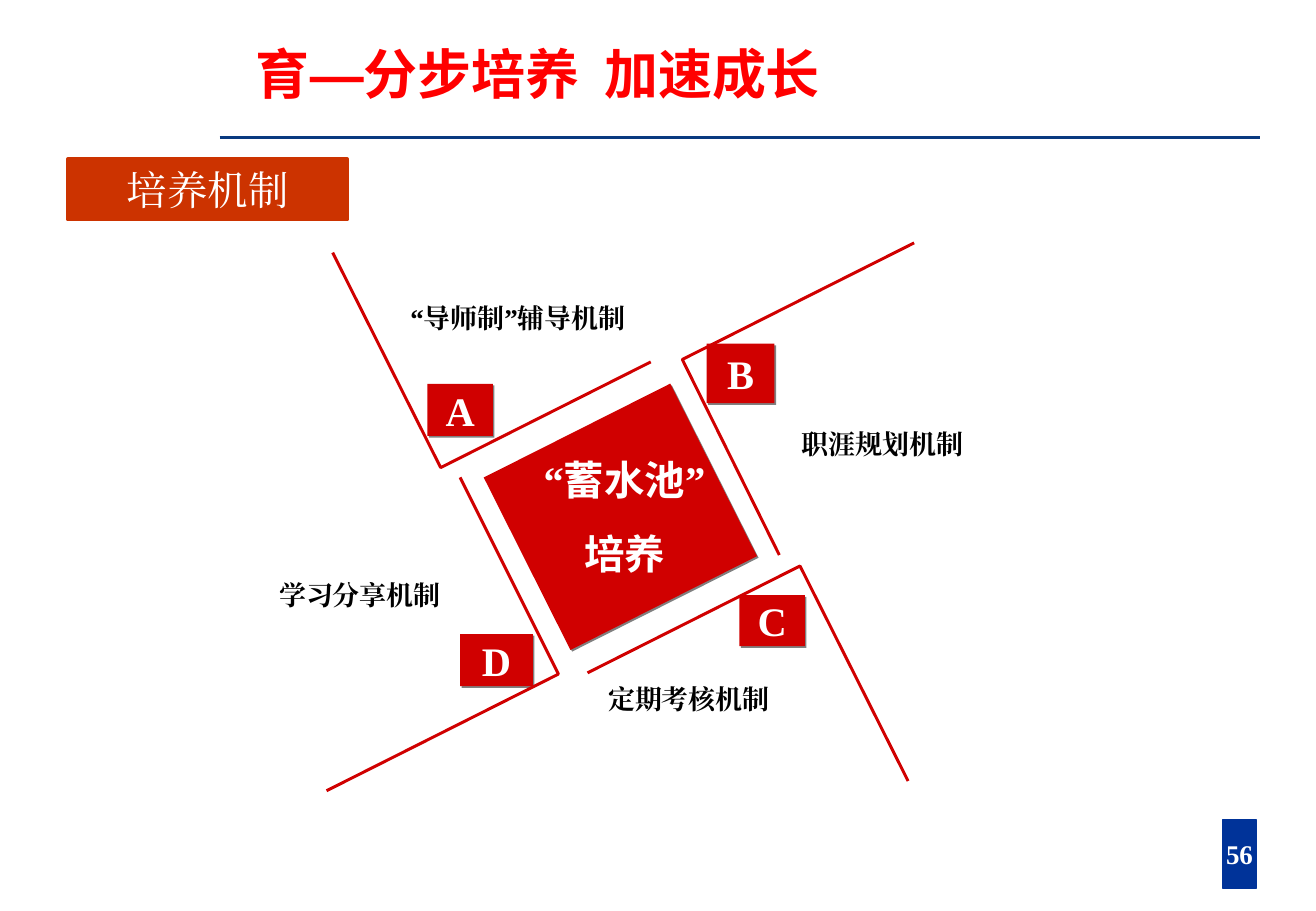
import dataclasses
import lxml.etree
import pptx
import pptx.dml.color
import pptx.enum.shapes
import pptx.enum.text
import pptx.oxml
import pptx.oxml.ns
import pptx.util

Inches = pptx.util.Inches
Pt = pptx.util.Pt
ALIGN = pptx.enum.text.PP_ALIGN
ANCHOR = pptx.enum.text.MSO_ANCHOR


@dataclasses.dataclass(frozen=True)
class Theme:
    """Colours, typefaces and type sizes of the slide."""
    red: str = "D00000"
    title_red: str = "FF0000"
    orange: str = "CC3300"
    rule_blue: str = "093A80"
    page_blue: str = "003399"
    black: str = "000000"
    white: str = "FFFFFF"
    shadow: str = "808080"
    serif: str = "Times New Roman"
    sans: str = "Arial"
    chinese: str = "Noto Sans CJK SC"
    title_size: int = 32
    heading_size: int = 24
    label_size: int = 16


THEME = Theme()


def rgb(value):
    """Turn a hex string into a colour."""
    return pptx.dml.color.RGBColor.from_string(value)


def add_runs(paragraph, runs):
    """Add (text, typeface) runs, using the typeface for Chinese too."""
    for text, typeface in runs:
        run = paragraph.add_run()
        run.text = text
        run.font.name = typeface
        east_asian = lxml.etree.SubElement(run.font._element, pptx.oxml.ns.qn("a:ea"))
        east_asian.set("typeface", typeface)


def write(shape, lines, size, color, bold=True, align=ALIGN.CENTER,
          anchor=ANCHOR.MIDDLE, margins=(0, 0), wrap=True):
    """Write lines of runs into a shape and return its paragraphs."""
    frame = shape.text_frame
    frame.word_wrap = wrap
    frame.vertical_anchor = anchor
    frame.margin_left = frame.margin_right = Inches(margins[0])
    frame.margin_top = frame.margin_bottom = Inches(margins[1])
    for number, runs in enumerate(lines):
        paragraph = frame.add_paragraph() if number else frame.paragraphs[0]
        paragraph.alignment = align
        if number:
            paragraph.space_before = Pt(15)
        add_runs(paragraph, runs)
        for font in [run.font for run in paragraph.runs]:
            font.size, font.bold = Pt(size), bold
            font.color.rgb = rgb(color)
    return frame.paragraphs


def add_text_box(slide, box, lines, size, color, **options):
    """Add a text box and return its paragraphs."""
    shape = slide.shapes.add_textbox(*map(Inches, box))
    return write(shape, lines, size, color, **options)


def add_block(slide, box, fill, line_width=0, rotation=0):
    """Add a flat filled rectangle."""
    shape = slide.shapes.add_shape(pptx.enum.shapes.MSO_SHAPE.RECTANGLE, *map(Inches, box))
    shape.shadow.inherit = False
    shape.rotation = rotation
    shape.fill.solid()
    shape.fill.fore_color.rgb = rgb(fill)
    if line_width:
        shape.line.color.rgb = rgb(fill)
        shape.line.width = Pt(line_width)
    else:
        shape.line.fill.background()
    return shape


def add_shadow(shape):
    """Give a shape a hard shadow to the lower right."""
    effects = shape._element.spPr.find(pptx.oxml.ns.qn("a:effectLst"))
    effects.append(pptx.oxml.parse_xml(
        f'<a:outerShdw {pptx.oxml.ns.nsdecls("a")} dist="{Pt(1.4)}" dir="2700000" '
        f'algn="ctr" rotWithShape="0"><a:srgbClr val="{THEME.shadow}"/></a:outerShdw>'))


def add_bracket(slide, points):
    """Add an open two-armed line through three points."""
    start, *rest = [tuple(map(Inches, point)) for point in points]
    builder = slide.shapes.build_freeform(*start)
    builder.add_line_segments(rest, close=False)
    shape = builder.convert_to_shape()
    shape.shadow.inherit = False
    shape.fill.background()
    shape.line.color.rgb = rgb(THEME.red)
    shape.line.width = Pt(1.75)


def add_frame(slide):
    """Add the title, the rule below it, the page number and the banner."""
    rule = slide.shapes.add_connector(
        pptx.enum.shapes.MSO_CONNECTOR.STRAIGHT,
        Inches(1.81), Inches(1.13), Inches(10.38), Inches(1.13))
    rule.line.color.rgb = rgb(THEME.rule_blue)
    rule.line.width = Pt(2)
    lxml.etree.SubElement(rule._element.spPr, pptx.oxml.ns.qn("a:effectLst"))

    page = add_block(slide, (10.07, 6.75, 0.28, 0.56), THEME.page_blue, 1)
    write(page, [[("56", THEME.serif)]], THEME.label_size, THEME.white, wrap=False)

    title = [("育", THEME.chinese), ("—", THEME.sans), ("分步培养", THEME.chinese),
             (" ", THEME.chinese), ("加速成长", THEME.chinese)]
    paragraph = add_text_box(slide, (2.01, 0.28, 7.63, 0.74), [title], THEME.title_size,
                             THEME.title_red, align=ALIGN.LEFT, margins=(0.1, 0.05))[0]
    paragraph.line_spacing = 0.8
    paragraph.runs[3].font._element.set("spc", "700")

    banner = add_block(slide, (0.56, 1.31, 2.3, 0.5), THEME.orange, 2)
    write(banner, [[("培养机制", THEME.serif)]], THEME.heading_size, THEME.white,
          bold=False, margins=(0.1, 0.05))


def add_mechanism(slide, letter, tag_box, label, label_box, align, bracket):
    """Add one lettered mechanism with its label and bracket."""
    tag = add_block(slide, tag_box, THEME.red)
    add_shadow(tag)
    write(tag, [[(letter, THEME.serif)]], THEME.heading_size, THEME.white)
    add_text_box(slide, label_box, [[(label, THEME.serif)]], THEME.label_size,
                 THEME.black, align=align)
    add_bracket(slide, bracket)


def add_core(slide):
    """Add the tilted square and its two lines of text."""
    add_shadow(add_block(slide, (4.25, 3.46, 1.72, 1.59), THEME.red, rotation=333.3))
    lines = [[("“", THEME.serif), ("蓄水池", THEME.chinese), ("”", THEME.serif)],
             [("培养", THEME.chinese)]]
    add_text_box(slide, (4.06, 3.7, 2.17, 1.08), lines, THEME.heading_size, THEME.white,
                 anchor=ANCHOR.TOP, margins=(0.1, 0.05))


def main():
    """Build the slide and save it."""
    presentation = pptx.Presentation()
    presentation.slide_width = Inches(10.84)
    presentation.slide_height = Inches(7.5)
    slide = presentation.slides.add_slide(presentation.slide_layouts[6])
    add_frame(slide)
    mechanisms = [
        ("A", (3.52, 3.16, 0.54, 0.43), "“导师制”辅导机制", (3.38, 2.4, 2.3, 0.43),
         ALIGN.JUSTIFY, [(5.36, 2.98), (3.63, 3.85), (2.74, 2.08)]),
        ("B", (5.82, 2.83, 0.56, 0.49), "职涯规划机制", (6.36, 3.49, 1.82, 0.33),
         ALIGN.CENTER, [(7.53, 2), (5.62, 2.96), (6.42, 4.57)]),
        ("C", (6.09, 4.9, 0.54, 0.42), "定期考核机制", (5.01, 5.54, 2.12, 0.43),
         ALIGN.JUSTIFY, [(7.48, 6.43), (6.59, 4.66), (4.84, 5.54)]),
        ("D", (3.79, 5.22, 0.6, 0.43), "学习分享机制", (2.3, 4.68, 2.12, 0.43),
         ALIGN.JUSTIFY, [(2.69, 6.51), (4.6, 5.55), (3.79, 3.93)]),
    ]
    for mechanism in mechanisms:
        add_mechanism(slide, *mechanism)
    add_core(slide)
    presentation.save("out.pptx")


if __name__ == "__main__":
    main()
